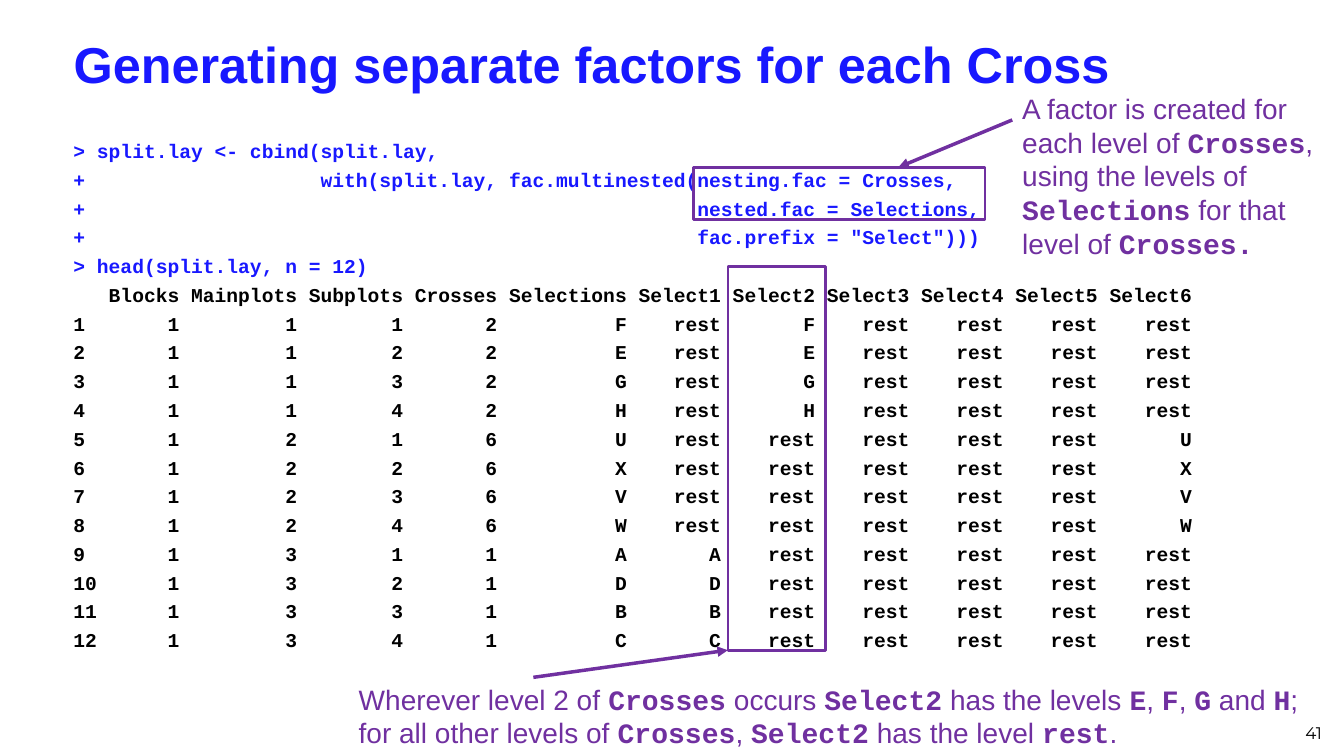
"""Build the slide on generating separate factors for each Cross."""
from dataclasses import dataclass

from lxml import etree
from pptx import Presentation
from pptx.dml.color import RGBColor
from pptx.enum import shapes, text
from pptx.oxml.ns import qn
from pptx.util import Inches, Pt

TITLE = "Generating separate factors for each Cross"
PAGE = "41"
COMMANDS = [
    "> split.lay <- cbind(split.lay,",
    "+                    with(split.lay, fac.multinested(nesting.fac = Crosses,",
    "+                                                    nested.fac = Selections,",
    "+                                                    fac.prefix = \"Select\")))",
    "> head(split.lay, n = 12)",
]
FACTORS = ["Blocks", "Mainplots", "Subplots", "Crosses", "Selections"]
SELECTS = [f"Select{level}" for level in range(1, 7)]
MAINPLOTS = [(2, "FEGH"), (6, "UXVW"), (1, "ADBC")]

# Each line alternates prose and code, starting with prose.
NOTES = [
    {
        "lines": [["A factor is created for each level of ", "Crosses",
                   ", using the levels of ", "Selections",
                   " for that level of ", "Crosses."]],
        "box": (10.04, 0.86, 3.29, 1.78),
        "arrow": (10.04, 1.19, 8.91, 1.66),
        "frame": (6.88, 1.66, 2.89, 0.52),
    },
    {
        "lines": [["Wherever level 2 of ", "Crosses", " occurs ", "Select2",
                   " has the levels ", "E", ", ", "F", ", ", "G", " and ", "H", "; "],
                  ["for all other levels of ", "Crosses", ", ", "Select2",
                   " has the level ", "rest", "."]],
        "box": (3.46, 6.72, 9.74, 0.77),
        "arrow": (5.29, 6.72, 7.22, 6.45),
        "frame": (7.22, 2.64, 0.97, 3.81),
    },
]


@dataclass(frozen=True)
class Theme:
    """Colours, fonts and sizes."""
    blue: RGBColor = RGBColor(0x18, 0x18, 0xFF)
    purple: RGBColor = RGBColor(0x70, 0x30, 0xA0)
    black: RGBColor = RGBColor(0, 0, 0)
    sans: str = "Arial"
    mono: str = "Courier New"
    number: str = "Montserrat"
    title_size: Pt = Pt(36)
    note_size: Pt = Pt(20)
    code_size: Pt = Pt(14)
    page_size: Pt = Pt(12)
    code_gap: Pt = Pt(3.75)
    arrow_width: Pt = Pt(2.5)
    frame_width: Pt = Pt(2)


T = Theme()


def inches(values):
    """Turn numbers into lengths."""
    return [Inches(v) for v in values]


def add_run(p, words, font, size, color, bold=False):
    """Add one formatted run."""
    r = p.add_run()
    r.text = words
    r.font.name, r.font.size, r.font.bold = font, size, bold
    r.font.color.rgb = color


def add_box(s, place):
    """Add a wrapping text box and return its frame."""
    tf = s.shapes.add_textbox(*inches(place)).text_frame
    tf.word_wrap = True
    return tf


def table_row(label, values):
    """Right-align values under the factor names."""
    names = FACTORS + SELECTS
    cells = [str(v).rjust(len(name)) for name, v in zip(names, values)]
    return " ".join([label.ljust(2)] + cells)


def layout_lines():
    """Return the printed header and rows."""
    lines = [table_row("", FACTORS + SELECTS)]
    for mainplot, (cross, selections) in enumerate(MAINPLOTS, 1):
        for subplot, selection in enumerate(selections, 1):
            levels = [selection if cross == k else "rest"
                      for k in range(1, len(SELECTS) + 1)]
            lines.append(table_row(str(len(lines)),
                                   [1, mainplot, subplot, cross, selection] + levels))
    return lines


def add_title(s):
    """Fill and place the title."""
    sp = s.shapes.title
    sp.left, sp.top, sp.width, sp.height = inches((0.63, 0.23, 12.6, 0.79))
    tf = sp.text_frame
    tf.vertical_anchor = text.MSO_ANCHOR.MIDDLE
    p = tf.paragraphs[0]
    p.alignment = text.PP_ALIGN.LEFT
    add_run(p, TITLE, T.sans, T.title_size, T.blue, True)


def add_listing(s):
    """Add the commands and their output."""
    tf = add_box(s, (0.63, 1.33, 12.6, 5.2))
    colored = [(line, T.blue) for line in COMMANDS]
    colored += [(line, T.black) for line in layout_lines()]
    for i, (line, color) in enumerate(colored):
        p = tf.add_paragraph() if i else tf.paragraphs[0]
        p.space_before = T.code_gap if i else Pt(0)
        add_run(p, line, T.mono, T.code_size, color, True)


def add_page(s):
    """Add the page number."""
    tf = add_box(s, (10.1, 6.92, 3.11, 0.5))
    tf.vertical_anchor = text.MSO_ANCHOR.BOTTOM
    p = tf.paragraphs[0]
    p.alignment = text.PP_ALIGN.RIGHT
    add_run(p, PAGE, T.number, T.page_size, T.black)


def add_note(s, note):
    """Add an arrow, its explanation and the frame it points at."""
    arrow = s.shapes.add_connector(shapes.MSO_CONNECTOR.STRAIGHT, *inches(note["arrow"]))
    arrow.line.color.rgb, arrow.line.width = T.purple, T.arrow_width
    etree.SubElement(arrow.line._get_or_add_ln(), qn("a:tailEnd"), type="triangle")
    etree.SubElement(arrow._element.spPr, qn("a:effectLst"))

    p = add_box(s, note["box"]).paragraphs[0]
    for row, line in enumerate(note["lines"]):
        if row:
            p.add_line_break()
        for i, words in enumerate(line):
            code = i % 2 == 1
            add_run(p, words, T.mono if code else T.sans, T.note_size, T.purple, code)

    frame = s.shapes.add_shape(shapes.MSO_SHAPE.RECTANGLE, *inches(note["frame"]))
    frame.shadow.inherit = False
    frame.fill.background()
    frame.line.color.rgb, frame.line.width = T.purple, T.frame_width


def main():
    """Build and save the deck."""
    prs = Presentation()
    prs.slide_width, prs.slide_height = inches((13.33, 7.5))
    s = prs.slides.add_slide(prs.slide_layouts[5])
    add_title(s)
    add_listing(s)
    add_page(s)
    for note in NOTES:
        add_note(s, note)
    prs.save("out.pptx")


if __name__ == "__main__":
    main()
